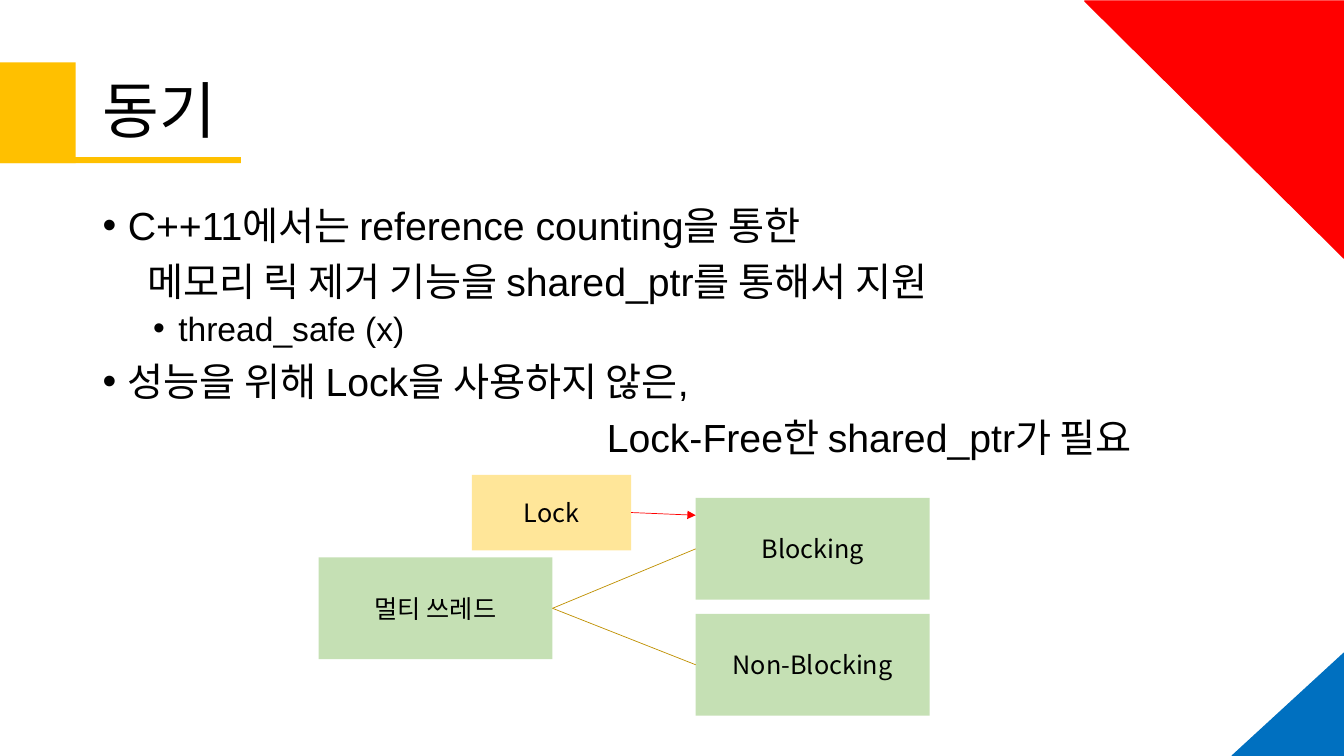
from lxml import etree
from pptx import Presentation
from pptx.dml.color import RGBColor
from pptx.enum import shapes, text
from pptx.oxml import ns
from pptx.util import Inches, Pt

BLACK = RGBColor(0, 0, 0)
GOLD = RGBColor(0xFF, 0xC0, 0x00)
CREAM = RGBColor(0xFF, 0xE6, 0x99)
GREEN = RGBColor(0xC5, 0xE0, 0xB4)
OCHRE = RGBColor(0xBF, 0x90, 0x00)
RED = RGBColor(0xFF, 0, 0)
BLUE = RGBColor(0, 0x70, 0xC0)
KOREAN = "Noto Sans CJK KR"
LATIN = "Arial"

TITLE = "동기"
# text, size, space before, left margin, bullet
BODY = [
    ("C++11에서는 reference counting을 통한", 28, 0, 0.25, True),
    ("메모리 릭 제거 기능을 shared_ptr를 통해서 지원", 28, 10, 0.44, False),
    ("thread_safe (x)", 24, 5, 0.75, True),
    ("성능을 위해 Lock을 사용하지 않은,", 28, 10, 0.25, True),
    ("Lock-Free한 shared_ptr가 필요", 28, 10, 5, False),
]
BARS = [(0, 0.62, 0.75, 1), (0, 1.56, 2.39, 0.06)]
# place, turn, colour
CORNERS = [
    ((12.22, 6.48, 1.11, 1.02), 0, BLUE),
    ((10.77, 0, 2.55, 2.57), 270, RED),
]
# key: label, place, colour
BOXES = {
    "lock": ("Lock", (4.68, 4.71, 1.58, 0.75), CREAM),
    "multi": ("멀티 쓰레드", (3.16, 5.53, 2.32, 1.01), GREEN),
    "free": ("Non-Blocking", (6.9, 6.09, 2.32, 1.01), GREEN),
    "block": ("Blocking", (6.9, 4.94, 2.32, 1.01), GREEN),
}
# from, to, height on the target box, colour, arrow
LINKS = [
    ("multi", "block", 0.5, OCHRE, False),
    ("multi", "free", 0.5, OCHRE, False),
    ("lock", "block", 0.17, RED, True),
]

deck = Presentation()
deck.slide_width, deck.slide_height = Inches(13.33), Inches(7.5)
slide = deck.slides.add_slide(deck.slide_layouts[6])


def apply(item, form):
    for key, val in form.items():
        setattr(item, key, val)


def add_sub(node, tag, **attrs):
    return etree.SubElement(node, ns.qn(tag), attrs)


def write(para, words, size, face):
    run = para.add_run()
    run.text = words
    apply(run.font, {"size": Pt(size), "name": face})
    run.font.color.rgb = BLACK
    add_sub(run._r.get_or_add_rPr(), "a:ea", typeface=KOREAN)


def add_form(kind, place, color, edge=False):
    form = slide.shapes.add_shape(kind, *map(Inches, place))
    form.shadow.inherit = False
    form.fill.solid()
    form.fill.fore_color.rgb = color
    if edge:
        form.line.color.rgb = color
        form.line.width = Pt(1)
    else:
        form.line.fill.background()
    return form


def add_text(place, anchor):
    frame = slide.shapes.add_textbox(*map(Inches, place)).text_frame
    apply(frame, {"word_wrap": True, "vertical_anchor": anchor})
    return frame


def add_link(start, end, color, arrow):
    link = slide.shapes.add_connector(
        shapes.MSO_CONNECTOR.STRAIGHT, *map(Inches, start + end))
    link.line.color.rgb = color
    link.line.width = Pt(0.5)
    if arrow:
        add_sub(link.line._get_or_add_ln(), "a:tailEnd", type="triangle")
    add_sub(link._element.spPr, "a:effectLst")


head = add_text((0.92, 0.4, 11.5, 1.45), text.MSO_ANCHOR.MIDDLE).paragraphs[0]
head.line_spacing = 0.9
write(head, TITLE, 44, KOREAN)

frame = add_text((0.92, 2, 11.5, 4.76), text.MSO_ANCHOR.TOP)
for i, (words, size, gap, left, dot) in enumerate(BODY):
    para = frame.add_paragraph() if i else frame.paragraphs[0]
    apply(para, {"line_spacing": 0.9, "space_before": Pt(gap)})
    props = para._p.get_or_add_pPr()
    props.set("marL", str(Inches(left)))
    props.set("indent", str(Inches(-0.25 if dot else 0)))
    if dot:
        add_sub(props, "a:buFont", typeface=LATIN)
        add_sub(props, "a:buChar", char="•")
    write(para, words, size, LATIN)

for place in BARS:
    add_form(shapes.MSO_SHAPE.RECTANGLE, place, GOLD)

for place, turn, color in CORNERS:
    corner = add_form(shapes.MSO_SHAPE.ISOSCELES_TRIANGLE, place, color, True)
    corner.adjustments[0] = 1
    corner.rotation = turn

for label, place, color in BOXES.values():
    frame = add_form(shapes.MSO_SHAPE.RECTANGLE, place, color).text_frame
    apply(frame, {"word_wrap": True, "vertical_anchor": text.MSO_ANCHOR.MIDDLE})
    frame.paragraphs[0].alignment = text.PP_ALIGN.CENTER
    write(frame.paragraphs[0], label, 18, KOREAN)

for source, target, part, color, arrow in LINKS:
    x, y, wide, high = BOXES[source][1]
    left, top, _, tall = BOXES[target][1]
    add_link((x + wide, y + high / 2), (left, top + tall * part), color, arrow)

deck.save("out.pptx")
